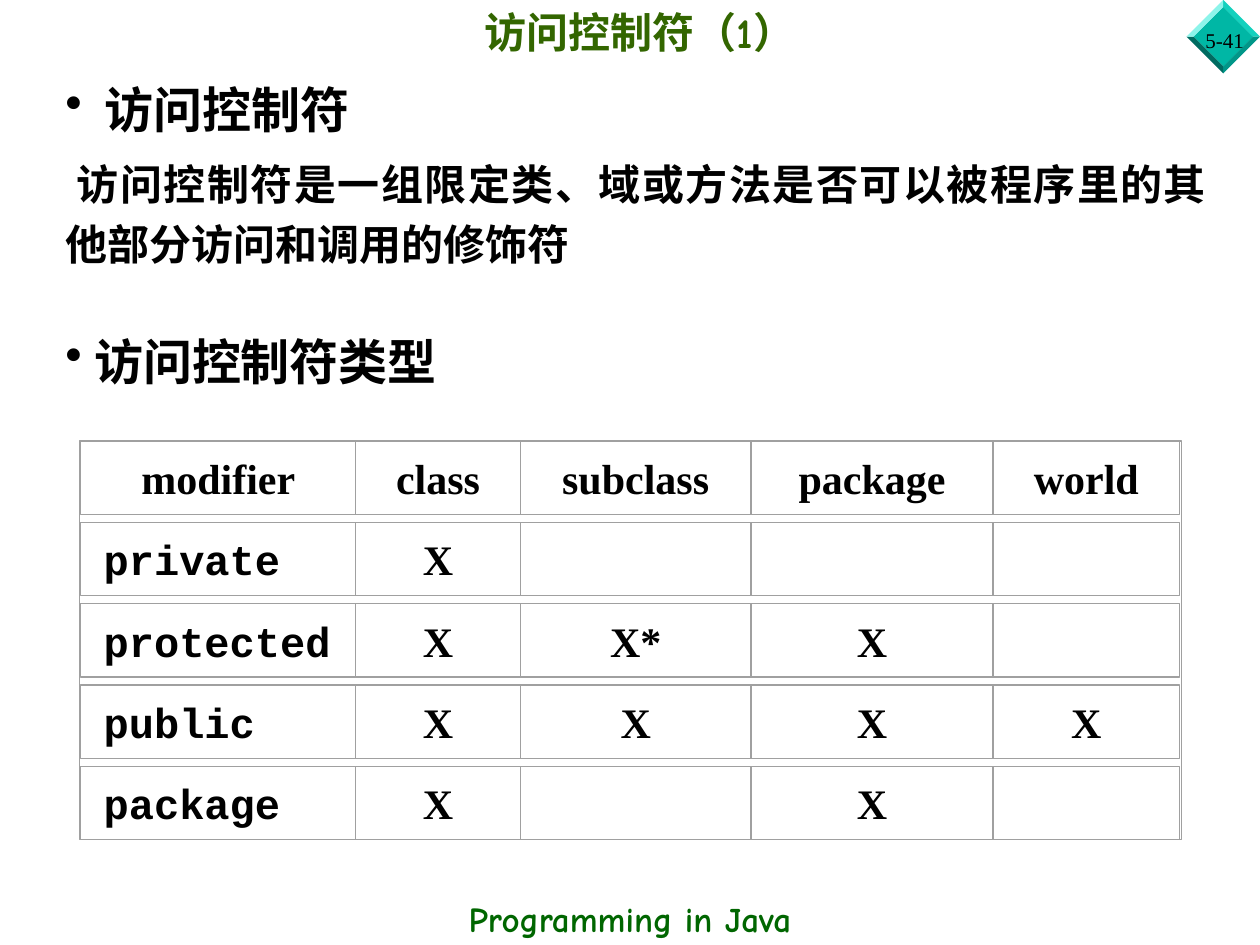
from lxml import etree
from pptx import Presentation
from pptx import util as u
from pptx.dml.color import RGBColor
from pptx.enum import shapes, text

Cm, Pt = u.Cm, u.Pt
ALIGN, ANCHOR = text.PP_ALIGN, text.MSO_ANCHOR
DRAW = "{http://schemas.openxmlformats.org/drawingml/2006/main}"


def tint(code):
    return RGBColor.from_string(code)


class Page:
    ink, rule = "000000", "A0A0A0"
    serif, mono, comic = "Times New Roman", "Courier New", "Comic Neue"

    def __init__(self, deck):
        self.slide = deck.slides.add_slide(deck.slide_layouts[6])
        self.items = self.slide.shapes

    def box(self, x, y, w, h, anchor=ANCHOR.TOP):
        frame = self.items.add_textbox(Cm(x), Cm(y), Cm(w), Cm(h)).text_frame
        frame.word_wrap = True
        frame.vertical_anchor = anchor
        return frame

    def para(self, frame, words, size, face=serif, color=ink, bold=True,
             align=ALIGN.LEFT, left=0, first=0, bullet=False):
        """Fill the empty first paragraph, or add another one."""
        par = frame.paragraphs[0]
        if par.runs:
            par = frame.add_paragraph()
        par.add_run().text = words
        par.alignment = align
        props = par._p.get_or_add_pPr()
        props.set("marL", str(Cm(left)))
        props.set("indent", str(Cm(first)))
        if bullet:
            shade = etree.SubElement(props, DRAW + "buClr")
            etree.SubElement(shade, DRAW + "srgbClr", val=self.ink)
            etree.SubElement(props, DRAW + "buChar", char="•")
        font = par.font
        font.size, font.name, font.bold = Pt(size), face, bold
        font.color.rgb = tint(color)
        return par

    def facet(self, points, color):
        spots = [(Cm(x), Cm(y)) for x, y in points]
        pen = self.items.build_freeform(*spots[0])
        pen.add_line_segments(spots[1:], close=True)
        shape = pen.convert_to_shape()
        shape.shadow.inherit = False
        shape.fill.solid()
        shape.fill.fore_color.rgb = tint(color)
        shape.line.fill.background()

    def rect(self, x, y, w, h, weight=0):
        shape = self.items.add_shape(
            shapes.MSO_SHAPE.RECTANGLE, Cm(x), Cm(y), Cm(w), Cm(h))
        shape.shadow.inherit = False
        shape.fill.background()
        shape.line.color.rgb = tint(self.rule)
        shape.line.width = Pt(weight)
        return shape

    def cell(self, x, y, w, h, words, **style):
        frame = self.rect(x, y, w, h).text_frame
        frame.margin_left = frame.margin_right = Cm(0.46)
        frame.vertical_anchor = ANCHOR.MIDDLE
        if words:
            self.para(frame, words, 24, **style)


def gem(page, x, y, outer, inner):
    def ring(r):
        return [(x, y - r), (x + r, y), (x, y + r), (x - r, y)]

    rim, core = ring(outer), ring(inner)
    page.facet(core, "00B7A5")
    for i, color in enumerate(("14D1BE", "009688", "006B61", "8CF4EA")):
        j = (i + 1) % 4
        page.facet([rim[i], rim[j], core[j], core[i]], color)


def grid(page, rows):
    edges = (1.63, 7.17, 10.49, 15.14, 20.02, 23.78)
    top, step, high = 8.89, 1.64, 1.48
    for i, row in enumerate(rows):
        for j, words in enumerate(row):
            style = {"align": ALIGN.CENTER}
            if i and not j:
                style = {"face": page.mono}
            page.cell(edges[j], top + i * step, edges[j + 1] - edges[j],
                      high, words, **style)
    page.rect(1.6, top, 22.22, step * (len(rows) - 1) + high, 0.75)


def main():
    deck = Presentation()
    deck.slide_width, deck.slide_height = Cm(25.4), Cm(19.05)
    page = Page(deck)

    # Page number on its gem
    gem(page, 24.66, 0.74, 0.74, 0.6)
    page.para(page.box(24.05, 0.43, 1.35, 0.76), "5-41", 12, bold=False)

    # Title and footer
    page.para(page.box(2.11, 0, 21.59, 1.27, ANCHOR.MIDDLE), "访问控制符（1）",
              24, page.comic, "336600", align=ALIGN.CENTER)
    page.para(page.box(0, 17.96, 25.4, 1.12), "Programming in Java",
              20, page.comic, "006600", align=ALIGN.CENTER)

    # Definition
    body = page.box(1.07, 1.47, 23.5, 4.09)
    page.para(body, "访问控制符", 28, align=ALIGN.JUSTIFY,
              left=0.79, first=-0.79, bullet=True)
    note = page.para(
        body, "访问控制符是一组限定类、域或方法是否可以被程序里的其他部分访问和调用的修饰符",
        24, align=ALIGN.JUSTIFY, first=0.23)
    note.line_spacing = 1.2
    note.space_before = Pt(6)

    # Kinds of modifier
    page.para(page.box(1.07, 6.55, 23.29, 1.45), "访问控制符类型", 28,
              left=0.58, first=-0.58, bullet=True)
    grid(page, (
        ("modifier", "class", "subclass", "package", "world"),
        ("private", "X", "", "", ""),
        ("protected", "X", "X*", "X", ""),
        ("public", "X", "X", "X", "X"),
        ("package", "X", "", "X", ""),
    ))

    deck.save("out.pptx")


if __name__ == "__main__":
    main()
